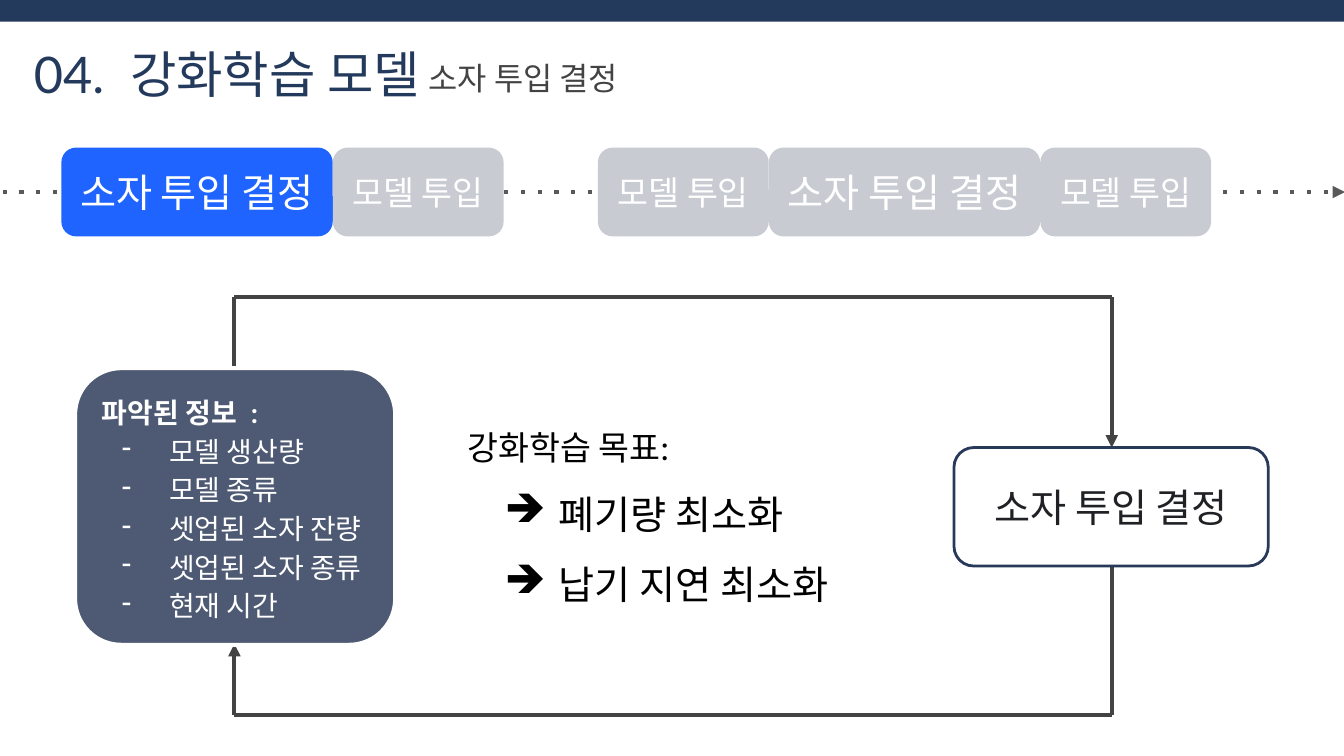
from lxml import etree
from pptx import Presentation
from pptx.dml.color import RGBColor
from pptx.enum.shapes import MSO_CONNECTOR, MSO_SHAPE
from pptx.enum.text import MSO_ANCHOR, PP_ALIGN
from pptx.oxml.ns import qn
from pptx.util import Cm, Pt

RECT, ROUND = MSO_SHAPE.RECTANGLE, MSO_SHAPE.ROUNDED_RECTANGLE
STRAIGHT = MSO_CONNECTOR.STRAIGHT
TOP, MIDDLE = MSO_ANCHOR.TOP, MSO_ANCHOR.MIDDLE
LEFT, CENTER = PP_ALIGN.LEFT, PP_ALIGN.CENTER
FONT = "Lato"
NAVY, GRAY, WHITE, BLACK = "243A5D", "434343", "FFFFFF", "000000"


def rgb(value):
    """Turn a hex string into a colour."""
    return RGBColor.from_string(value)


def add_child(parent, tag, **attributes):
    """Append a DrawingML element to an XML parent."""
    return etree.SubElement(parent, qn(tag), attributes)


def style_paragraph(p, size, color, align=LEFT, spacing=1.0, bold=False):
    """Format a paragraph and all its runs."""
    p.alignment = align
    p.line_spacing = spacing
    for r in p.runs:
        r.font.name, r.font.size, r.font.bold = FONT, Pt(size), bold
        r.font.color.rgb = rgb(color)


def add_bullet(p, char, color, indent):
    """Give a paragraph a coloured bullet with a hanging indent."""
    pPr = p._p.get_or_add_pPr()
    pPr.set("marL", str(Cm(1.27)))
    pPr.set("indent", str(-Cm(indent)))
    add_child(add_child(pPr, "a:buClr"), "a:srgbClr", val=color)
    add_child(pPr, "a:buChar", char=char)


def add_spaced_text(p, before, after, points):
    """Write two words with a widened space between them."""
    for text in (before, " ", after):
        p.add_run().text = text
    p.runs[1].font._element.set("spc", str(points * 100))


def setup_frame(s, anchor=TOP, inset=0.25, inset_y=None):
    """Set wrapping, anchor and insets, and return the text frame."""
    tf = s.text_frame
    tf.word_wrap, tf.vertical_anchor = True, anchor
    tf.margin_left = tf.margin_right = Cm(inset)
    tf.margin_top = tf.margin_bottom = Cm(inset if inset_y is None else inset_y)
    return tf


def add_text(slide, box, anchor=TOP, inset=0.25, inset_y=None):
    """Add an empty text box and return its frame."""
    s = slide.shapes.add_textbox(*map(Cm, box))
    return setup_frame(s, anchor, inset, inset_y)


def add_box(slide, kind, box, fill, line=None, width=1.5):
    """Add a filled shape and return its frame."""
    s = slide.shapes.add_shape(kind, *map(Cm, box))
    s.shadow.inherit = False
    s.fill.solid()
    s.fill.fore_color.rgb = rgb(fill)
    if line:
        s.line.color.rgb = rgb(line)
        s.line.width = Pt(width)
    else:
        s.line.fill.background()
    return setup_frame(s, MIDDLE)


def add_label(slide, box, text, size, fill, color=WHITE, line=None):
    """Add a rounded box with one centred label."""
    tf = add_box(slide, ROUND, box, fill, line)
    tf.text = text
    style_paragraph(tf.paragraphs[0], size, color, CENTER)


def add_line(slide, start, end, color=GRAY, dash=None, arrow=False):
    """Add a straight line, optionally dashed or with an arrowhead."""
    s = slide.shapes.add_connector(STRAIGHT, *map(Cm, start + end))
    s.line.color.rgb = rgb(color)
    s.line.width = Pt(2.25)
    ln = s.line._get_or_add_ln()
    if dash:
        add_child(ln, "a:prstDash", val=dash)
    if arrow:
        add_child(ln, "a:tailEnd", type="triangle")
    add_child(s._element.spPr, "a:effectLst")


def add_list(tf, items, char, color, indent, size, spacing):
    """Write bulleted items, filling the frame's empty first paragraph."""
    for item in items:
        p = tf.paragraphs[-1]
        if p.runs:
            p = tf.add_paragraph()
        add_bullet(p, char, color, indent)
        p.add_run().text = item
        style_paragraph(p, size, color, spacing=spacing)


def add_header(slide):
    """Add the top band, title and subtitle."""
    add_box(slide, RECT, (0, 0, 25.4, 0.41), NAVY)
    p = add_text(slide, (0.46, 0.71, 8.13, 1.35), TOP, 0.18, 0.1).paragraphs[0]
    add_spaced_text(p, "04.", "강화학습 모델", 7)
    style_paragraph(p, 27, NAVY)
    tf = add_text(slide, (7.92, 0.94, 7.92, 1.12), TOP, 0.18)
    tf.text = "소자 투입 결정"
    style_paragraph(tf.paragraphs[0], 17, GRAY)


def add_timeline(slide):
    """Add the dotted time axis and its steps."""
    add_line(slide, (0.05, 3.63), (25.42, 3.63), "595959", "dot", True)
    decide, load = ("소자 투입 결정", 21, 5.13), ("모델 투입", 18, 3.23)
    groups = ((1.16, (decide, load)), (11.3, (load, decide, load)))
    active = True
    for x, steps in groups:
        for text, size, width in steps:
            fill = "1F64FF" if active else "C8CBD2"
            add_label(slide, (x, 2.79, width, 1.68), text, size, fill)
            x += width
            active = False


def add_loop(slide):
    """Add the lines that link state and decision in a loop."""
    left, right, top, bottom = 4.43, 21.01, 5.61, 13.51
    add_line(slide, (left, bottom), (right, bottom))
    add_line(slide, (right, bottom), (right, 9.35))
    add_line(slide, (left, bottom), (left, 12.17), arrow=True)
    add_line(slide, (left, top), (left, 9.25))
    add_line(slide, (right, top), (right, 8.46), arrow=True)
    add_line(slide, (left, top), (right, top))


def add_state(slide):
    """Add the box of known information."""
    tf = add_box(slide, ROUND, (1.42, 6.96, 6.05, 5.23), "4E5A73", WHITE, 2.25)
    p = tf.paragraphs[0]
    add_spaced_text(p, "파악된 정보", ":", 4)
    style_paragraph(p, 15, WHITE, spacing=1.15, bold=True)
    tf.add_paragraph()
    items = ("모델 생산량", "모델 종류", "셋업된 소자 잔량",
             "셋업된 소자 종류", "현재 시간")
    add_list(tf, items, "-", WHITE, 0.89, 15, 1.15)


def add_goals(slide):
    """Add the learning goals in the middle of the loop."""
    tf = add_text(slide, (9.04, 9.17, 7.44, 1.96), MIDDLE)
    add_list(tf, ("폐기량 최소화", "납기 지연 최소화"), "➔", BLACK, 1.02, 21, 1.5)
    tf = add_text(slide, (8.59, 7.44, 8.33, 1.27))
    tf.text = "강화학습 목표:"
    style_paragraph(tf.paragraphs[0], 18, BLACK, spacing=1.5)


def main():
    """Build and save the slide."""
    prs = Presentation()
    prs.slide_width, prs.slide_height = Cm(25.4), Cm(14.29)
    slide = prs.slides.add_slide(prs.slide_layouts[6])
    add_header(slide)
    add_loop(slide)
    add_state(slide)
    add_label(slide, (18.03, 8.46, 5.94, 2.24), "소자 투입 결정", 21,
              WHITE, "202124", "29395A")
    add_goals(slide)
    add_timeline(slide)
    prs.save("out.pptx")


if __name__ == "__main__":
    main()
